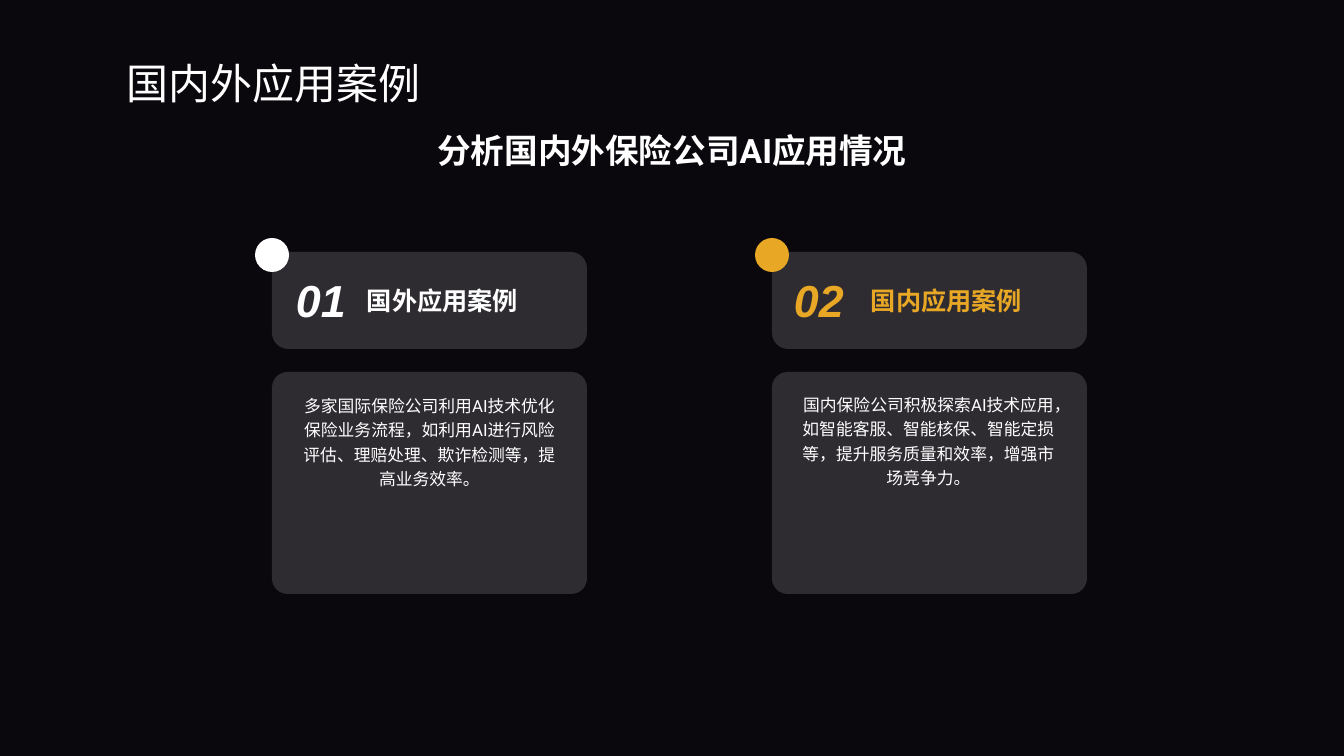
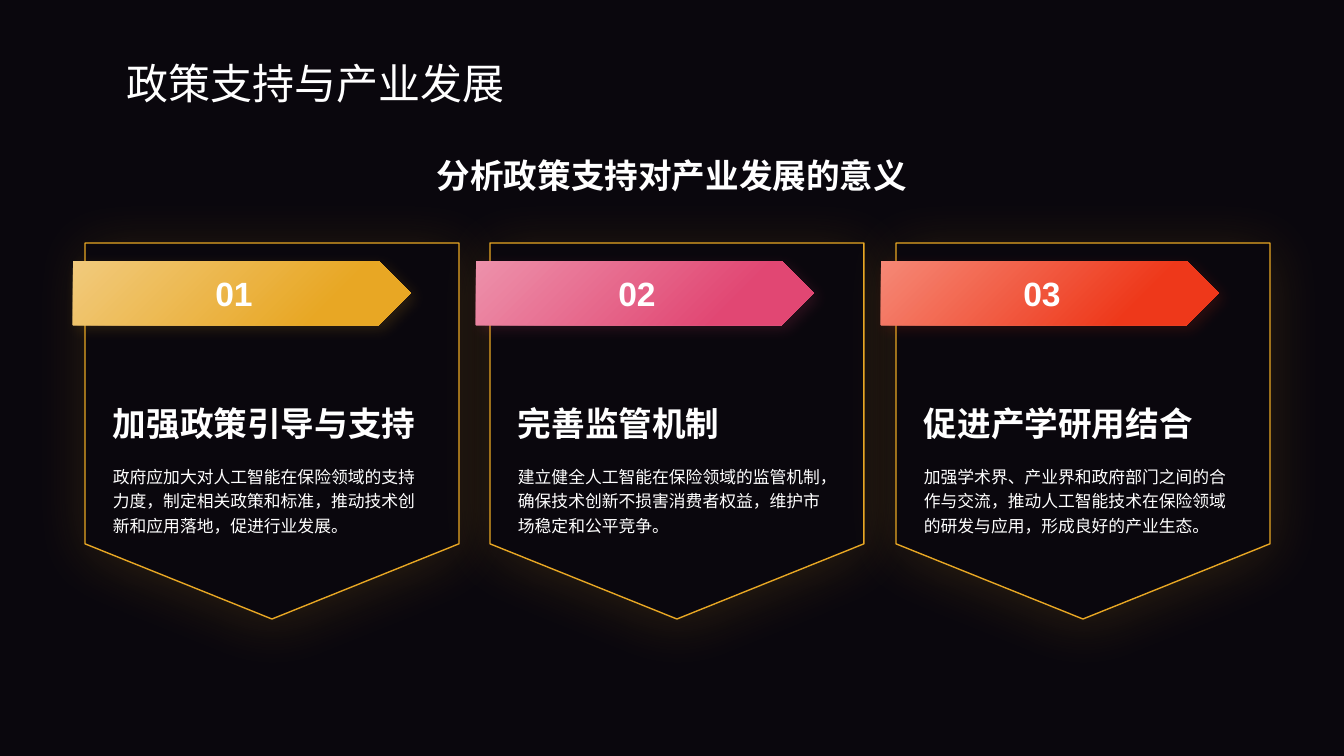
from lxml.etree import SubElement
from pptx import Presentation
from pptx.dml.color import RGBColor
from pptx.enum.shapes import MSO_SHAPE as SHAPE
from pptx.enum.text import MSO_ANCHOR as ANCHOR, PP_ALIGN as ALIGN
from pptx.oxml.ns import qn
from pptx.util import Emu, Pt

COLORS = {
    "night": "0A070D",
    "white": "FFFFFF",
    "gold": "E8A724",
    "gold_light": "F1CA7C",
    "pink": "E14773",
    "pink_light": "ED91AB",
    "red": "EE381A",
    "red_light": "F58876",
}
RGB = {name: RGBColor.from_string(value) for name, value in COLORS.items()}
CJK = "Noto Sans CJK JP"
PX = 914400 / 100.8  # EMU in one px


def add_text(s, text, box, size, font="Roboto", color="white", bold=False, italic=False,
             align=ALIGN.LEFT, anchor=ANCHOR.TOP, spacing=None, wrap=True, shape=None):
    """Write one paragraph into shape, or into a new text box at box."""
    sp = shape or s.shapes.add_textbox(*[Emu(round(v * PX)) for v in box])
    tf = sp.text_frame
    tf.word_wrap = wrap
    tf.vertical_anchor = anchor
    p = tf.paragraphs[0]
    p.text = text
    p.alignment = align
    if spacing:
        p.line_spacing = spacing
    r = p.runs[0]
    r.font.name, r.font.size = font, Pt(size)
    r.font.bold, r.font.italic = bold, italic
    r.font.color.rgb = RGB[color]
    SubElement(r._r.get_or_add_rPr(), qn("a:ea"), typeface=CJK)


def add_shape(s, kind, box, fill, alpha=None, gradient_from=None, line=None, shadow=None):
    """Add a preset shape; shadow is (colour, blur pt, distance pt, degrees)."""
    sp = s.shapes.add_shape(kind, *[Emu(round(v * PX)) for v in box])
    sp.shadow.inherit = False
    if gradient_from:
        sp.fill.gradient()
        sp.fill.gradient_angle = 315
        stops = zip(sp.fill.gradient_stops, (0, 0.75), (gradient_from, fill))
        for stop, position, color in stops:
            stop.position = position
            stop.color.rgb = RGB[color]
    else:
        sp.fill.solid()
        sp.fill.fore_color.rgb = RGB[fill]
    if alpha:
        clr = sp._element.spPr.find(".//" + qn("a:srgbClr"))
        SubElement(clr, qn("a:alpha"), val=str(alpha * 1000))
    if line:
        sp.line.color.rgb = RGB[line]
        sp.line.width = Pt(1)
    else:
        sp.line.fill.background()
    if shadow:
        color, blur, dist, angle = shadow
        effects = sp._element.spPr.find(qn("a:effectLst"))
        outer = SubElement(effects, qn("a:outerShdw"), blurRad=str(Pt(blur)), dist=str(Pt(dist)),
                           dir=str(angle * 60000), algn="ctr", rotWithShape="0")
        clr = SubElement(outer, qn("a:srgbClr"), val=COLORS[color])
        SubElement(clr, qn("a:alpha"), val="15000")
    return sp


prs = Presentation()
prs.slide_width, prs.slide_height = Emu(round(1344 * PX)), Emu(round(756 * PX))

# Shared page: dark background, title, centred subtitle
pages = [
    ("国内外应用案例", "分析国内外保险公司AI应用情况", (73, 125, 1198, 50), ANCHOR.TOP),
    ("政策支持与产业发展", "分析政策支持对产业发展的意义", (73, 137, 1198, 77), ANCHOR.MIDDLE),
]
slides = []
for title, subtitle, box, anchor in pages:
    s = prs.slides.add_slide(prs.slide_layouts[6])
    s.background.fill.solid()
    s.background.fill.fore_color.rgb = RGB["night"]
    add_text(s, title, (117, 33, 1120, 80), 30, font=CJK, anchor=ANCHOR.BOTTOM)
    add_text(s, subtitle, box, 24, bold=True, align=ALIGN.CENTER, anchor=anchor)
    slides.append(s)
cases_slide, policy_slide = slides

# Slide 1: two case cards (left, number left, heading left, body left and top)
cases = [
    ("01", "国外应用案例", "white", 272, 286, 357, (286, 387),
     "多家国际保险公司利用AI技术优化保险业务流程，如利用AI进行风险评估、理赔处理、欺诈检测等，提高业务效率。"),
    ("02", "国内应用案例", "gold", 772, 784, 861, (785, 386),
     "国内保险公司积极探索AI技术应用，如智能客服、智能核保、智能定损等，提升服务质量和效率，增强市场竞争力。"),
]
s = cases_slide
for number, heading, color, left, number_x, heading_x, body_at, body in cases:
    add_shape(s, SHAPE.ROUNDED_RECTANGLE, (left, 252, 315, 97), "white", alpha=15)
    panel = add_shape(s, SHAPE.ROUNDED_RECTANGLE, (left, 372, 315, 222), "white", alpha=15)
    panel.adjustments[0] = 0.07
    add_shape(s, SHAPE.OVAL, (left - 17, 238, 34, 34), color)
    add_text(s, number, (number_x, 268, 71, 65), 32, font="Arial", color=color,
             bold=True, italic=True, wrap=False)
    add_text(s, heading, (heading_x, 252, 213, 97), 18, color=color, bold=True,
             anchor=ANCHOR.MIDDLE)
    add_text(s, body, (*body_at, 287, 197), 12, align=ALIGN.CENTER, spacing=1.2)

# Slide 2: three policy cards (card left, banner left)
policies = [
    ("01", "加强政策引导与支持", "gold", 85, 73,
     "政府应加大对人工智能在保险领域的支持力度，制定相关政策和标准，推动技术创新和应用落地，促进行业发展。"),
    ("02", "完善监管机制", "pink", 490, 476,
     "建立健全人工智能在保险领域的监管机制，确保技术创新不损害消费者权益，维护市场稳定和公平竞争。"),
    ("03", "促进产学研用结合", "red", 896, 881,
     "加强学术界、产业界和政府部门之间的合作与交流，推动人工智能技术在保险领域的研发与应用，形成良好的产业生态。"),
]
s = policy_slide
for number, heading, color, left, banner_x, body in policies:
    add_shape(s, SHAPE.FLOWCHART_OFFPAGE_CONNECTOR, (left, 243, 374, 376), "night",
              line="gold", shadow=("gold", 42, 4, 90))
    add_text(s, heading, (left + 18, 359, 338, 89), 24, bold=True, anchor=ANCHOR.BOTTOM)
    add_text(s, body, (left + 18, 458, 338, 132), 12, spacing=1.2)
    banner = add_shape(s, SHAPE.PENTAGON, (banner_x, 261, 338, 64), color,
                       gradient_from=color + "_light", shadow=(color, 10, 5, 45))
    add_text(s, number, None, 24, font="Arial", bold=True, align=ALIGN.CENTER,
             anchor=ANCHOR.MIDDLE, wrap=False, shape=banner)

prs.save("out.pptx")
